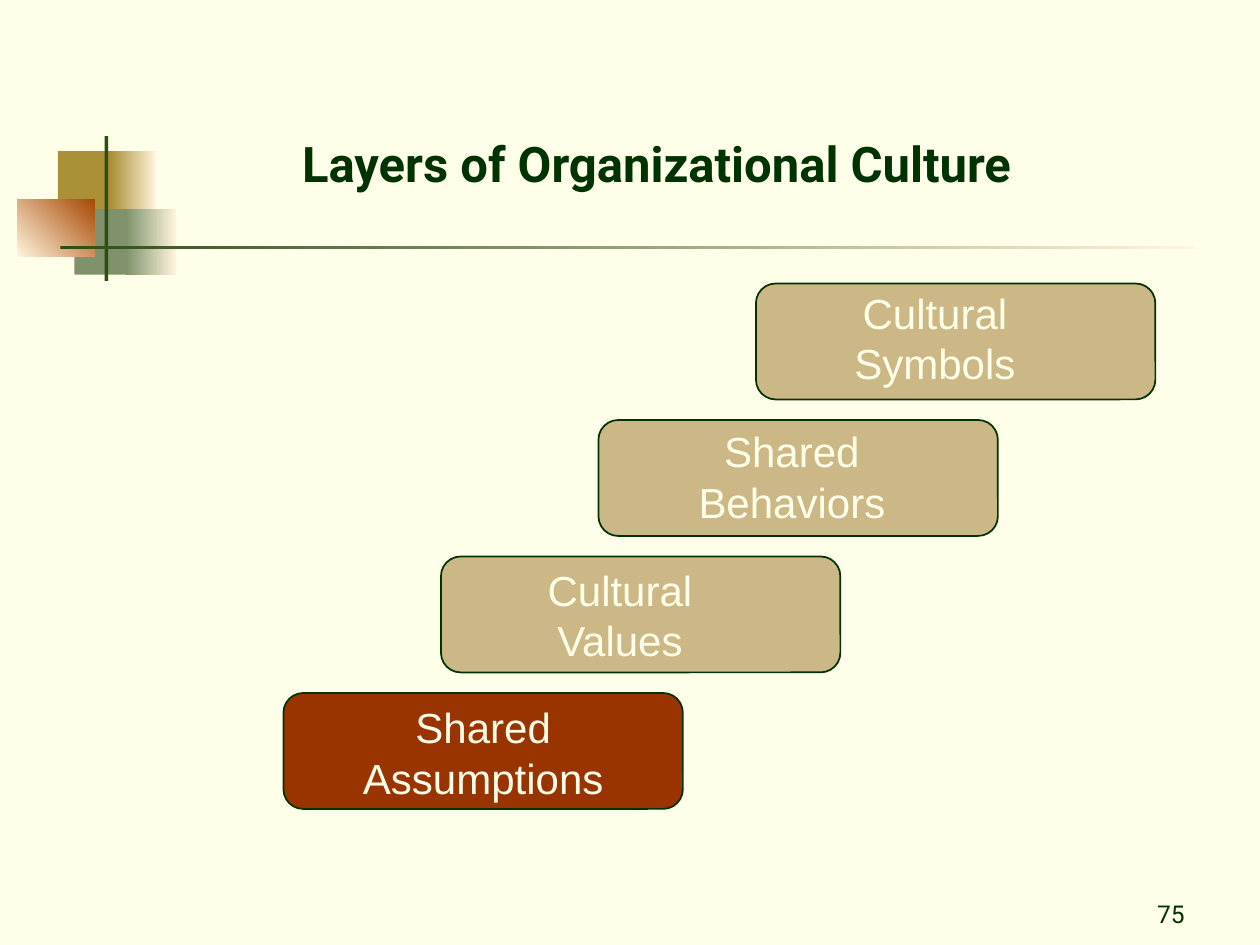
from pptx import Presentation
from pptx.dml.color import RGBColor
from pptx.enum.shapes import MSO_SHAPE
from pptx.enum.text import MSO_ANCHOR, PP_ALIGN
from pptx.util import Inches, Pt

RECTANGLE, ROUNDED = MSO_SHAPE.RECTANGLE, MSO_SHAPE.ROUNDED_RECTANGLE
TOP, MIDDLE, BOTTOM = MSO_ANCHOR.TOP, MSO_ANCHOR.MIDDLE, MSO_ANCHOR.BOTTOM
CENTER, RIGHT = PP_ALIGN.CENTER, PP_ALIGN.RIGHT

CREAM, PALE, DARK = "FFFFE9", "FFF5DD", "003300"
GOLD, SAGE, RUST, MOSS = "AA9037", "80926C", "A84804", "2E4D13"
TAN, BROWN = "CCB886", "993300"

TITLE = "Layers of Organizational Culture"
PAGE_NUMBER = "75"

ORNAMENTS = [
    ((0.46, 1.2, 0.48, 0.52), [GOLD], 0),
    ((0.88, 1.2, 0.36, 0.52), [GOLD, PALE], 0),
    ((0.59, 1.66, 0.46, 0.52), [SAGE], 0),
    ((1, 1.66, 0.4, 0.52), [SAGE, PALE], 0),
    ((0.14, 1.58, 0.61, 0.46), [PALE, RUST], 45),
    ((0.83, 1.08, 0.03, 1.15), [MOSS], 0),
    ((0.48, 1.95, 9, 0.03), [MOSS, PALE], 0),
]

LAYERS = [
    ("Shared Assumptions", BROWN, (2.25, 5.52, 3.17)),
    ("Cultural Values", TAN, (3.83, 4.43, 2.18)),
    ("Shared Behaviors", TAN, (4.92, 3.33, 2.73)),
    ("Cultural Symbols", TAN, (6.33, 2.23, 2.18)),
]
STEP_LEFT, STEP_TOP = 2.25, 5.5
STEP_RIGHT, STEP_UP = 1.25, 3.25 / 3
STEP_WIDTH, STEP_HEIGHT = 3.17, 0.92
LABEL_HEIGHT = 0.9


def color(value):
    return RGBColor.from_string(value)


def add_block(slide, kind, box, colors, angle=0):
    shape = slide.shapes.add_shape(kind, *map(Inches, box))
    shape.shadow.inherit = False
    shape.line.fill.background()
    if len(colors) == 1:
        shape.fill.solid()
        shape.fill.fore_color.rgb = color(colors[0])
    else:
        shape.fill.gradient()
        shape.fill.gradient_angle = angle
        for position, (stop, value) in enumerate(zip(shape.fill.gradient_stops, colors)):
            stop.color.rgb = color(value)
            stop.position = position
    return shape


def add_text(slide, box, text, font, size, value, alignment, anchor, bold=False):
    frame = slide.shapes.add_textbox(*map(Inches, box)).text_frame
    frame.word_wrap = True
    frame.vertical_anchor = anchor
    paragraph = frame.paragraphs[0]
    paragraph.alignment = alignment
    run = paragraph.add_run()
    run.text = text
    run.font.name = font
    run.font.size = Pt(size)
    run.font.bold = bold
    run.font.color.rgb = color(value)


def main():
    presentation = Presentation()
    presentation.slide_width = Inches(10)
    presentation.slide_height = Inches(7.5)
    slide = presentation.slides.add_slide(presentation.slide_layouts[6])
    slide.background.fill.solid()
    slide.background.fill.fore_color.rgb = color(CREAM)

    for box, colors, angle in ORNAMENTS:
        add_block(slide, RECTANGLE, box, colors, angle)

    add_text(slide, (7.42, 6.92, 2.08, 0.5), PAGE_NUMBER, "Roboto", 14, DARK, RIGHT, BOTTOM)
    add_text(slide, (1.25, 0.67, 7.92, 1.25), TITLE, "Roboto", 28, DARK, CENTER, MIDDLE, True)

    for index, (text, fill, label) in enumerate(LAYERS):
        left = STEP_LEFT + index * STEP_RIGHT
        top = STEP_TOP - index * STEP_UP
        step = add_block(slide, ROUNDED, (left, top, STEP_WIDTH, STEP_HEIGHT), [fill])
        step.adjustments[0] = 0.17
        step.line.color.rgb = color(DARK)
        step.line.width = Pt(1)
        add_text(slide, (*label, LABEL_HEIGHT), text, "Arial", 24, CREAM, CENTER, TOP)

    presentation.save("out.pptx")


if __name__ == "__main__":
    main()
